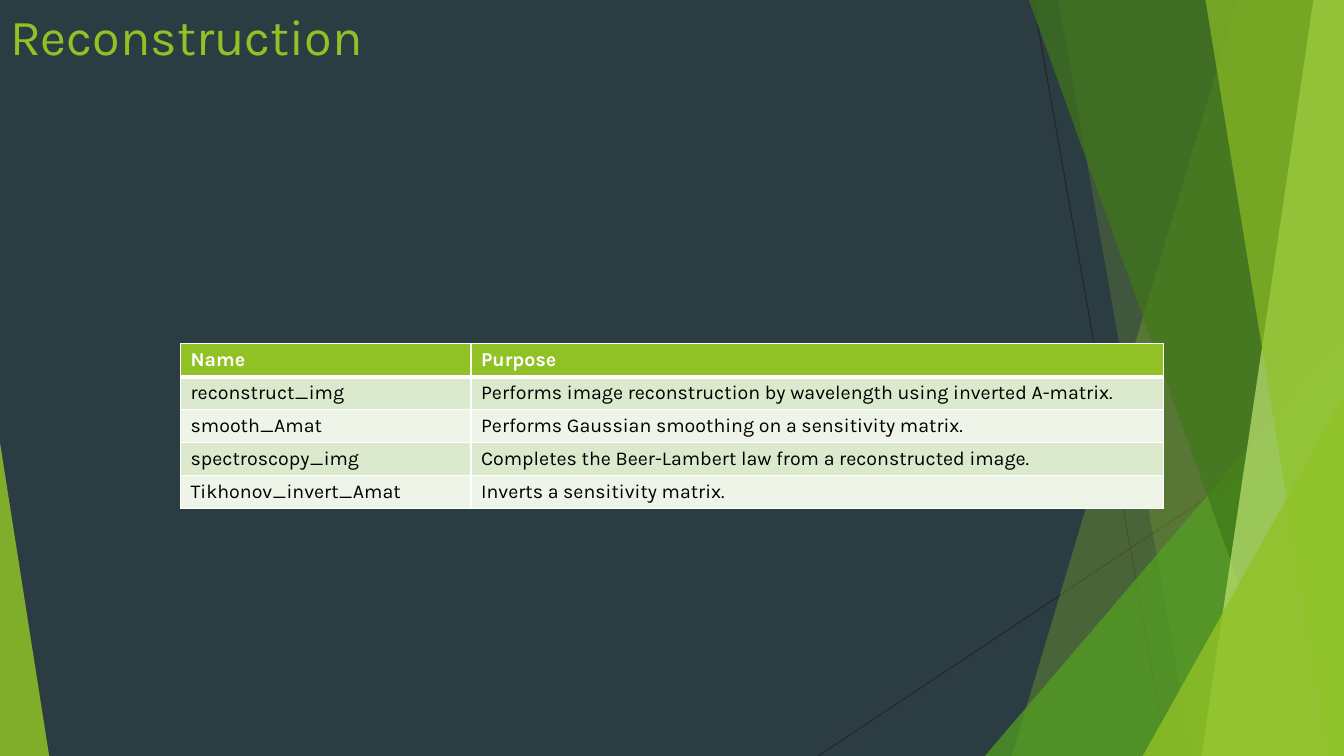
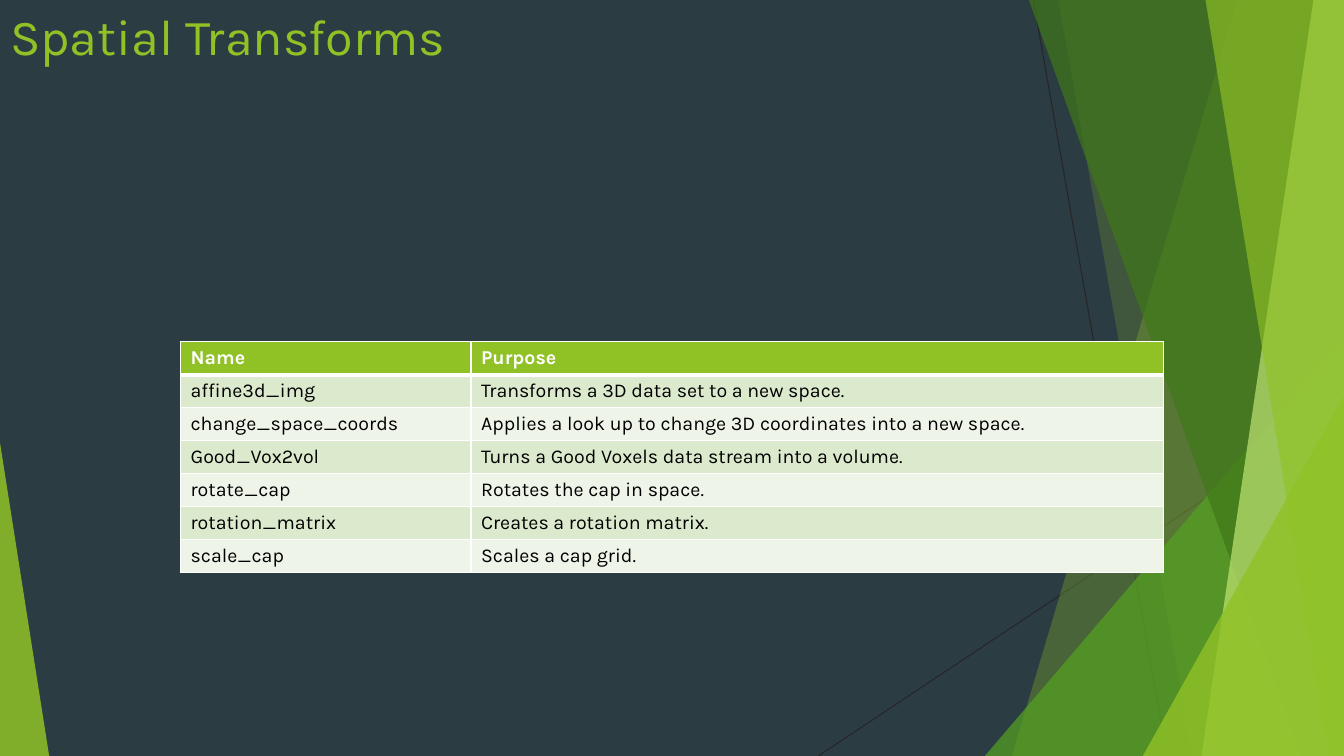
from dataclasses import dataclass

from lxml.etree import SubElement
from pptx import Presentation
from pptx.dml.color import RGBColor
from pptx.enum.shapes import MSO_CONNECTOR, MSO_SHAPE
from pptx.enum.text import MSO_ANCHOR, MSO_AUTO_SIZE, PP_ALIGN
from pptx.oxml.ns import qn
from pptx.util import Cm, Pt

FONT = "Karla"
WIDTH, HEIGHT = 33.87, 19.05  # cm
BACKGROUND, LIME, WHITE, BLACK = "2C3C43", "90C226", "FFFFFF", "000000"
STRIPES = ("DBE9CD", "EEF4E8")
TABLE_LEFT, COLUMN_WIDTHS, ROW_HEIGHT = 4.55, (7.32, 17.45), 0.83
HEADER = ("Name", "Purpose")


@dataclass(frozen=True)
class Band:
    """Strip from its slanted left edge to the right side of the slide."""
    top_x: float
    bottom_x: float
    color: str
    opacity: int


@dataclass(frozen=True)
class Wedge:
    """Right triangle standing on the bottom of the slide."""
    left: float
    top: float
    width: float
    apex: float
    color: str
    opacity: int


@dataclass(frozen=True)
class FunctionTable:
    title: str
    top: float
    rows: tuple[tuple[str, str], ...]


HAIRLINES = ((26.04, 0, 29.41, HEIGHT), (WIDTH, 10.24, 20.62, HEIGHT))
FACETS = (
    Band(31.19, 25.5, LIME, 30),
    Band(26.67, 30.05, LIME, 20),
    Wedge(24.82, 8.46, WIDTH - 24.82, 1, "54A021", 72),
    Band(25.93, 32.79, "3F7819", 70),
    Band(33.1, 30.28, "C0E474", 70),
    Band(30.38, 33.48, LIME, 65),
    Wedge(28.8, 9.98, WIDTH - 28.8, 1, LIME, 80),
    Wedge(0, 11.15, 1.24, 0, LIME, 85),
)

TABLES = (
    FunctionTable("Reconstruction", 8.66, (
        ("reconstruct_img",
         "Performs image reconstruction by wavelength using inverted A-matrix."),
        ("smooth_Amat", "Performs Gaussian smoothing on a sensitivity matrix."),
        ("spectroscopy_img",
         "Completes the Beer-Lambert law from a reconstructed image."),
        ("Tikhonov_invert_Amat", "Inverts a sensitivity matrix."),
    )),
    FunctionTable("Spatial Transforms", 8.61, (
        ("affine3d_img", "Transforms a 3D data set to a new space."),
        ("change_space_coords",
         "Applies a look up to change 3D coordinates into a new space."),
        ("Good_Vox2vol", "Turns a Good Voxels data stream into a volume."),
        ("rotate_cap", "Rotates the cap in space."),
        ("rotation_matrix", "Creates a rotation matrix."),
        ("scale_cap", "Scales a cap grid."),
    )),
)


def rgb(color: str) -> RGBColor:
    return RGBColor.from_string(color)


def write(tf, text: str, *, size: float, color: str, bold: bool = False) -> None:
    p = tf.paragraphs[0]
    p.alignment = PP_ALIGN.LEFT
    r = p.add_run()
    r.text = text
    r.font.name, r.font.size, r.font.bold = FONT, Pt(size), bold
    r.font.color.rgb = rgb(color)


def add_hairline(slide, x1: float, y1: float, x2: float, y2: float):
    line = slide.shapes.add_connector(
        MSO_CONNECTOR.STRAIGHT, Cm(x1), Cm(y1), Cm(x2), Cm(y2))
    line.line.color.rgb = rgb("262626")
    line.line.width = Pt(0.75)
    SubElement(line.element.spPr, qn("a:effectLst"))
    return line


def add_facet(slide, facet: Band | Wedge):
    if isinstance(facet, Band):
        builder = slide.shapes.build_freeform(Cm(facet.top_x), 0)
        builder.add_line_segments([
            (Cm(WIDTH), 0), (Cm(WIDTH), Cm(HEIGHT)),
            (Cm(facet.bottom_x), Cm(HEIGHT))])
        sp = builder.convert_to_shape()
    else:
        sp = slide.shapes.add_shape(
            MSO_SHAPE.ISOSCELES_TRIANGLE, Cm(facet.left), Cm(facet.top),
            Cm(facet.width), Cm(HEIGHT - facet.top))
        sp.adjustments[0] = facet.apex
    sp.shadow.inherit = False
    sp.line.fill.background()
    sp.fill.solid()
    sp.fill.fore_color.rgb = rgb(facet.color)
    color = sp.element.spPr.find(f"{qn('a:solidFill')}/{qn('a:srgbClr')}")
    SubElement(color, qn("a:alpha"), val=str(facet.opacity * 1000))
    return sp


def move_backdrop_to_layout(slide, layout) -> None:
    """Draw the backdrop on a slide, then hand it to the layout all slides share."""
    layout.background.fill.solid()
    layout.background.fill.fore_color.rgb = rgb(BACKGROUND)
    for ph in list(layout.placeholders):
        if ph.placeholder_format.idx:
            ph.element.getparent().remove(ph.element)
    backdrop = [add_hairline(slide, *ends) for ends in HAIRLINES]
    backdrop += [add_facet(slide, facet) for facet in FACETS]
    for sp in backdrop:
        layout.shapes.element.append(sp.element)


def set_title(slide, text: str) -> None:
    title = slide.shapes.title
    title.left, title.top, title.width, title.height = 0, 0, Cm(23.88), Cm(3.66)
    tf = title.text_frame
    tf.vertical_anchor = MSO_ANCHOR.TOP
    tf.auto_size = MSO_AUTO_SIZE.NONE
    write(tf, text, size=36, color=LIME)


def set_borders(cell, top: float, bottom: float) -> None:
    tc_pr = cell._tc.get_or_add_tcPr()
    for side, width in (("L", 1), ("R", 1), ("T", top), ("B", bottom)):
        ln = SubElement(tc_pr, qn(f"a:ln{side}"), w=str(Pt(width)))
        fill = SubElement(ln, qn("a:solidFill"))
        SubElement(fill, qn("a:srgbClr"), val=WHITE)


def add_function_table(slide, spec: FunctionTable) -> None:
    rows = (HEADER, *spec.rows)
    table = slide.shapes.add_table(
        len(rows), len(HEADER), Cm(TABLE_LEFT), Cm(spec.top),
        Cm(sum(COLUMN_WIDTHS)), Cm(ROW_HEIGHT * len(rows))).table
    for column, width in zip(table.columns, COLUMN_WIDTHS):
        column.width = Cm(width)
    for i, texts in enumerate(rows):
        table.rows[i].height = Cm(ROW_HEIGHT)
        is_header = i == 0
        for j, text in enumerate(texts):
            cell = table.cell(i, j)
            set_borders(cell, top=3 if i == 1 else 1, bottom=3 if is_header else 1)
            cell.fill.solid()
            cell.fill.fore_color.rgb = rgb(LIME if is_header else STRIPES[(i - 1) % 2])
            write(cell.text_frame, text, size=14, bold=is_header,
                  color=WHITE if is_header else BLACK)


def main() -> None:
    prs = Presentation()
    prs.slide_width, prs.slide_height = Cm(WIDTH), Cm(HEIGHT)
    layout = prs.slide_layouts[5]
    slides = [prs.slides.add_slide(layout) for _ in TABLES]
    move_backdrop_to_layout(slides[0], layout)
    for slide, table in zip(slides, TABLES):
        set_title(slide, table.title)
        add_function_table(slide, table)
    prs.save("out.pptx")


if __name__ == "__main__":
    main()
